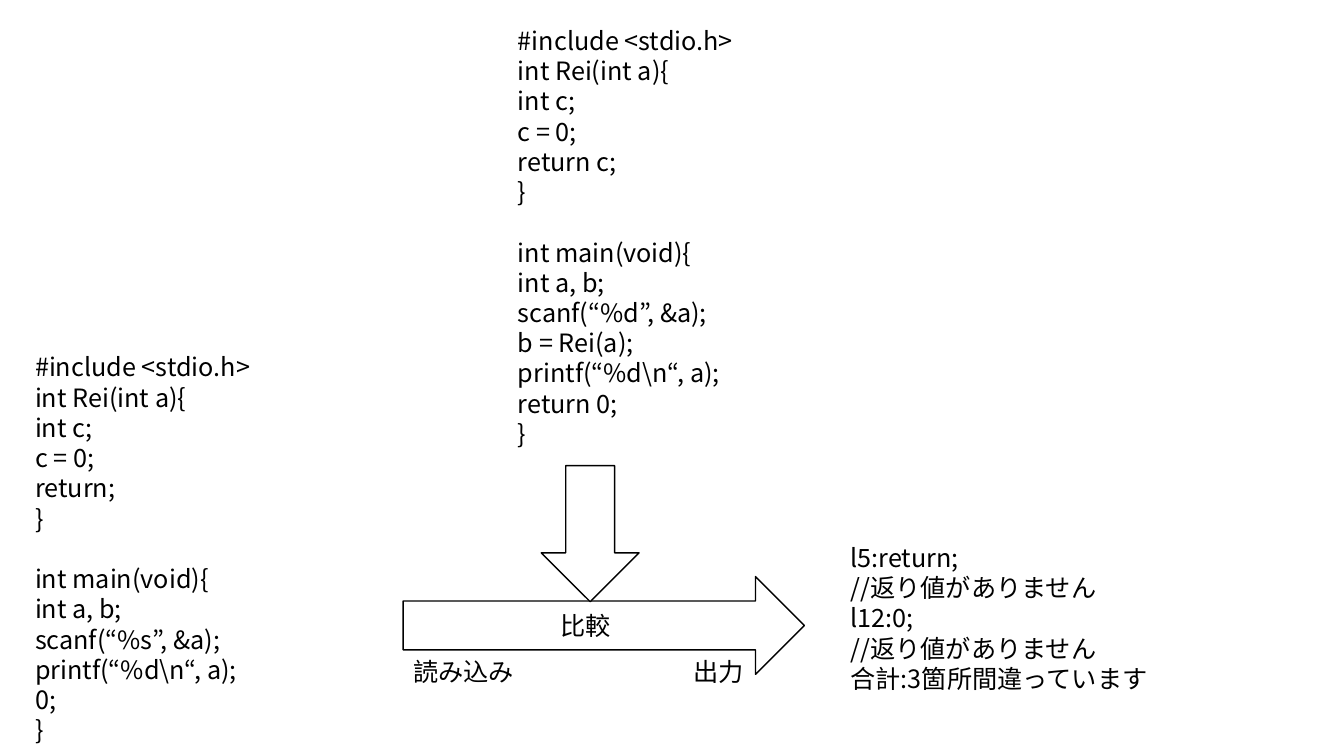
from pptx import Presentation, util as u
from pptx.dml.color import RGBColor
from pptx.enum import shapes, text
from pptx.oxml.ns import qn
from lxml import etree

COLUMNS, ROWS = 40, 30
WIDTH, HEIGHT = u.Inches(13.33), u.Inches(7.5)
FONT = "Noto Sans CJK JP"
LINE_PITCH = u.Pt(21.6)
LINE_ROWS, INSET_ROWS = 1.21, 0.4
LISTING_COLUMNS, LABEL_COLUMNS = 12.45, 7.26


def color(value):
    return RGBColor.from_string(value)


def place(left, top, width, height):
    """Turn grid columns and rows into slide lengths."""
    column, row = WIDTH / COLUMNS, HEIGHT / ROWS
    return [round(length) for length in
            (left * column, top * row, width * column, height * row)]


def apply_format(target, values):
    for name, value in values.items():
        setattr(target, name, value)


def add_line(paragraph, line, gap):
    apply_format(paragraph, {"line_spacing": LINE_PITCH, "space_before": gap,
                             "alignment": text.PP_ALIGN.LEFT})
    run = paragraph.add_run()
    run.text = line
    apply_format(run.font, {"name": FONT, "size": u.Pt(18)})
    run.font.color.rgb = color("000000")
    east_asian = etree.SubElement(run.font._element, qn("a:ea"))
    east_asian.set("typeface", FONT)


def add_text(slide, left, top, width, *blocks):
    """Write blocks of lines, one empty line's height apart."""
    count = sum(map(len, blocks)) + len(blocks) - 1
    height = count * LINE_ROWS + INSET_ROWS
    frame = slide.shapes.add_textbox(*place(left, top, width, height)).text_frame
    apply_format(frame, {"word_wrap": True,
                         "auto_size": text.MSO_AUTO_SIZE.SHAPE_TO_FIT_TEXT})
    paragraph = frame.paragraphs[0]
    for block_number, block in enumerate(blocks):
        for line_number, line in enumerate(block):
            if block_number or line_number:
                paragraph = frame.add_paragraph()
            starts_block = block_number > 0 and line_number == 0
            add_line(paragraph, line, LINE_PITCH if starts_block else u.Pt(0))


def add_arrow(slide, left, top, width, rotation=0):
    arrow = slide.shapes.add_shape(shapes.MSO_SHAPE.RIGHT_ARROW,
                                   *place(left, top, width, 3.88))
    arrow.rotation = rotation
    arrow.shadow.inherit = False
    arrow.fill.solid()
    arrow.fill.fore_color.rgb = color("FFFFFF")
    arrow.line.color.rgb = color("000000")
    arrow.line.width = u.Pt(1)


def program(rei_return, scan_format, call, main_return):
    """Give the two functions of a C program as blocks of lines."""
    rei = ["#include <stdio.h>", "int Rei(int a){", "int c;", "c = 0;",
           rei_return, "}"]
    main_function = ["int main(void){", "int a, b;", f"scanf(“{scan_format}”, &a);",
                     *call, "printf(“%d\\n“, a);", main_return, "}"]
    return rei, main_function


def main():
    presentation = Presentation()
    apply_format(presentation, {"slide_width": WIDTH, "slide_height": HEIGHT})
    slide = presentation.slides.add_slide(presentation.slide_layouts[6])

    add_text(slide, 0.75, 13.76, LISTING_COLUMNS,
             *program("return;", "%s", [], "0;"))
    missing_value = "//返り値がありません"
    add_text(slide, 25.02, 21.32, LISTING_COLUMNS,
             ["l5:return;", missing_value, "l12:0;", missing_value,
              "合計:3箇所間違っています"])
    add_text(slide, 15.12, 0.8, LISTING_COLUMNS,
             *program("return c;", "%d", ["b = Rei(a);"], "return 0;"))

    add_arrow(slide, 12, 22.88, 11.94)
    add_arrow(slide, 15.54, 19.24, 4.05, rotation=90)
    for label, left, top in (("読み込み", 12, 25.84), ("比較", 16.38, 24.04),
                             ("出力", 20.34, 25.84)):
        add_text(slide, left, top, LABEL_COLUMNS, [label])

    presentation.save("out.pptx")


if __name__ == "__main__":
    main()
